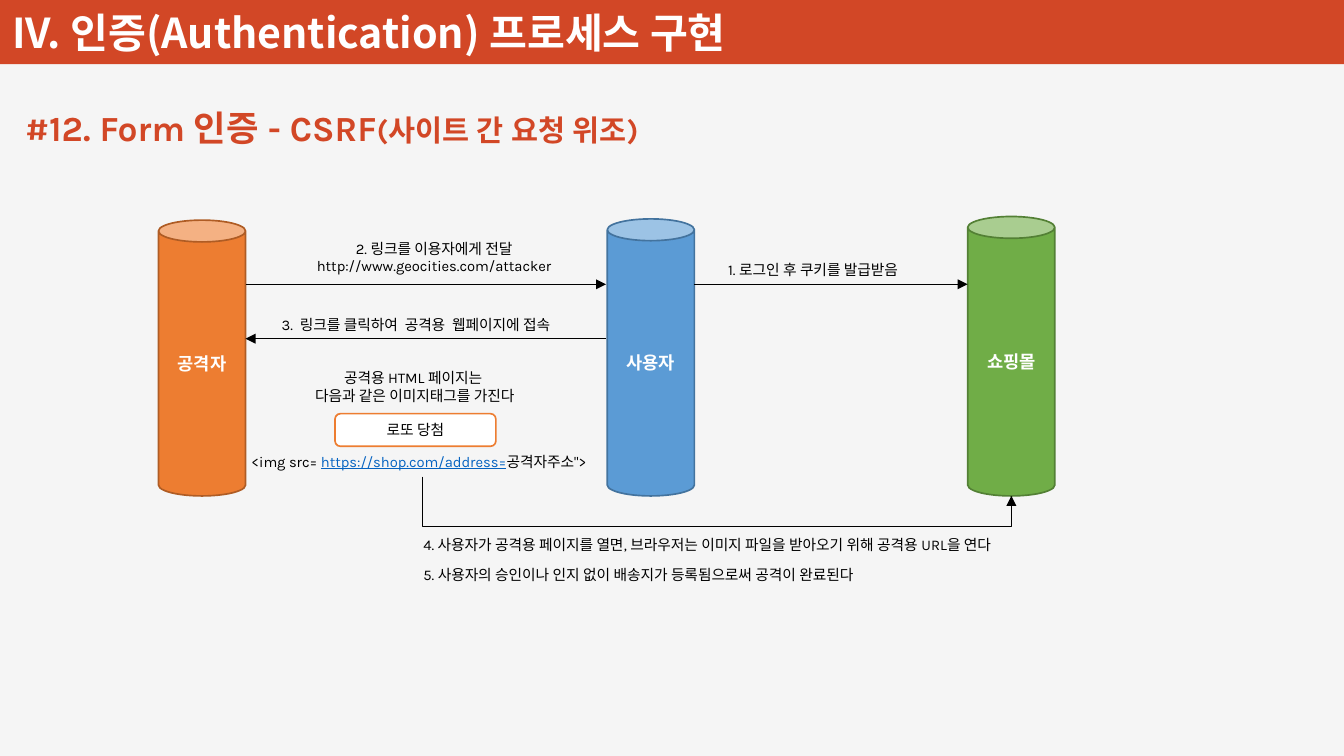
from pptx import Presentation
from pptx.dml.color import RGBColor
from pptx.enum.shapes import MSO_CONNECTOR, MSO_SHAPE
from pptx.enum.text import MSO_ANCHOR, MSO_AUTO_SIZE, PP_ALIGN
from pptx.oxml.ns import qn
from pptx.util import Inches, Pt
from lxml import etree

LEFT, CENTER = PP_ALIGN.LEFT, PP_ALIGN.CENTER
TOP, MIDDLE, BOTTOM = MSO_ANCHOR.TOP, MSO_ANCHOR.MIDDLE, MSO_ANCHOR.BOTTOM
CAN, ROUNDED = MSO_SHAPE.CAN, MSO_SHAPE.ROUNDED_RECTANGLE
STRAIGHT, ELBOW = MSO_CONNECTOR.STRAIGHT, MSO_CONNECTOR.ELBOW
NO_FIT = MSO_AUTO_SIZE.NONE

PAPER = RGBColor(0xF5, 0xF5, 0xF5)
RED = RGBColor(0xD2, 0x47, 0x26)
WHITE = RGBColor(0xFF, 0xFF, 0xFF)
BLACK = RGBColor(0, 0, 0)
ORANGE = RGBColor(0xED, 0x7D, 0x31)
DARK_ORANGE = RGBColor(0xAF, 0x5C, 0x24)
BLUE = RGBColor(0x5B, 0x9B, 0xD5)
DARK_BLUE = RGBColor(0x43, 0x73, 0x9E)
GREEN = RGBColor(0x70, 0xAD, 0x47)
DARK_GREEN = RGBColor(0x53, 0x80, 0x35)
LINK = RGBColor(0x05, 0x63, 0xC1)

BODY_FONT, TITLE_FONT = "Karla", "Noto Sans CJK KR"
NOTE_SIZE = 8.8


class Board:
    """Places elements on a grid of 100 columns by 100 rows."""

    def __init__(self, prs):
        self.col = prs.slide_width / 100
        self.row = prs.slide_height / 100
        self.slide = prs.slides.add_slide(prs.slide_layouts[1])
        self.shapes = self.slide.shapes
        self.slide.background.fill.solid()
        self.slide.background.fill.fore_color.rgb = PAPER

    def x(self, columns):
        return round(columns * self.col)

    def y(self, rows):
        return round(rows * self.row)

    def box(self, left, top, width, height):
        return self.x(left), self.y(top), self.x(width), self.y(height)

    def style(self, run, size, color, bold=False, name=BODY_FONT):
        run.font.size, run.font.bold, run.font.name = Pt(size), bold, name
        run.font.color.rgb = color
        east_asian = etree.SubElement(run.font._element, qn("a:ea"))
        east_asian.set("typeface", name)

    def set_lines(self, frame, lines, size, color, align=LEFT, anchor=TOP, wrap=True, **font):
        frame.text = "\n".join(lines)
        frame.auto_size, frame.word_wrap = NO_FIT, wrap
        frame.vertical_anchor = anchor
        for paragraph in frame.paragraphs:
            paragraph.alignment = align
            paragraph.space_before = Pt(0)
            for run in paragraph.runs:
                self.style(run, size, color, **font)
        return frame.paragraphs

    def title(self, text, height):
        bar = self.shapes.title
        bar.left, bar.top, bar.width, bar.height = self.box(0, 0, 100, height)
        bar.fill.solid()
        bar.fill.fore_color.rgb = RED
        frame = bar.text_frame
        frame.margin_left, frame.margin_top = Inches(0.1), 0
        frame.margin_bottom = Inches(0.06)
        self.set_lines(frame, [text], 24.5, WHITE, anchor=BOTTOM, bold=True, name=TITLE_FONT)

    def steps(self, area, lines, gap):
        body = self.slide.placeholders[1]
        body.left, body.top, body.width, body.height = self.box(*area)
        paragraphs = self.set_lines(body.text_frame, lines, NOTE_SIZE, BLACK)
        for paragraph in paragraphs:
            properties = paragraph._p.get_or_add_pPr()
            properties.set("marL", "0")
            properties.set("indent", "0")
            etree.SubElement(properties, qn("a:buNone"))
        for paragraph in paragraphs[1:]:
            paragraph.space_before = Pt(gap)

    def label(self, area, lines, size=NOTE_SIZE, color=BLACK, **layout):
        frame = self.shapes.add_textbox(*self.box(*area)).text_frame
        return self.set_lines(frame, lines, size, color, **layout)

    def shape(self, kind, area, text, fill, line, size, color, bold=False):
        shape = self.shapes.add_shape(kind, *self.box(*area))
        shape.shadow.inherit = False
        shape.fill.solid()
        shape.fill.fore_color.rgb = fill
        shape.line.color.rgb, shape.line.width = line, Pt(1)
        self.set_lines(shape.text_frame, [text], size, color, CENTER, MIDDLE, bold=bold)

    def connector(self, kind, *ends):
        line = self.shapes.add_connector(kind, *ends)
        line.line.color.rgb, line.line.width = BLACK, Pt(0.5)
        etree.SubElement(line.line._get_or_add_ln(), qn("a:tailEnd"), type="triangle")
        etree.SubElement(line._element.spPr, qn("a:effectLst"))
        return line

    def arrow(self, start, end, row):
        self.connector(STRAIGHT, self.x(start), self.y(row), self.x(end), self.y(row))

    def detour(self, start, end, low_row):
        """Runs down to low_row, across, and up to the end."""
        x1, y1, x2, y2 = self.x(start[0]), self.y(start[1]), self.x(end[0]), self.y(end[1])
        middle_x, middle_y = (x1 + x2) // 2, (y1 + y2) // 2
        half_run, half_rise = (x2 - x1) // 2, (y2 - y1) // 2
        # An elbow starts sideways, so it is laid out upright and turned by 270 degrees
        line = self.connector(ELBOW, middle_x + half_rise, middle_y - half_run,
                              middle_x - half_rise, middle_y + half_run)
        properties = line._element.spPr
        properties.find(qn("a:xfrm")).set("rot", str(270 * 60000))
        bend = round((self.y(low_row) - y1) / (y2 - y1) * 100000)
        guides = properties.find(qn("a:prstGeom")).find(qn("a:avLst"))
        etree.SubElement(guides, qn("a:gd"), name="adj1", fmla=f"val {bend}")


def main():
    prs = Presentation()
    prs.slide_width, prs.slide_height = Inches(11.11), Inches(6.25)
    board = Board(prs)

    # Title bar and heading
    board.title("IV. 인증(Authentication) 프로세스 구현", 8.5)
    heading = board.label((0.99, 13.28, 50.41, 7.2), ["#12. Form 인증 - CSRF"],
                          21, RED, wrap=False, bold=True)[0]
    meaning = heading.add_run()
    meaning.text = "(사이트 간 요청 위조)"
    board.style(meaning, 17.5, RED, bold=True)

    # The three parties, standing on one base row
    base = 65.6
    for party, left, top, fill, line in (
        ("사용자", 45.18, 28.96, BLUE, DARK_BLUE),
        ("공격자", 11.79, 29.12, ORANGE, DARK_ORANGE),
        ("쇼핑몰", 72, 28.64, GREEN, DARK_GREEN),
    ):
        board.shape(CAN, (left, top, 6.48, base - top), party, fill, line, 10.5, WHITE, True)

    # Messages between the parties
    attacker_side, user_left, user_right, shop_side = 18.27, 45.09, 51.66, 72
    board.arrow(user_right, shop_side, 37.6)
    board.arrow(attacker_side, user_left, 37.6)
    board.arrow(user_left, attacker_side, 44.8)
    board.label((53.29, 33.76, 17.46, 4), ["1. 로그인 후 쿠키를 발급받음"])
    board.label((22.23, 30.88, 20.16, 6.4),
                ["2. 링크를 이용자에게 전달", "http://www.geocities.com/attacker"], align=CENTER)
    board.label((20.07, 40.96, 24.48, 4), ["3.  링크를 클릭하여  공격용  웹페이지에 접속"])

    # The attack page and its image tag
    board.label((21.78, 48, 18.18, 6.4),
                ["공격용 HTML 페이지는 ", "다음과 같은 이미지태그를 가진다"],
                align=CENTER, wrap=False)
    board.shape(ROUNDED, (24.93, 54.72, 11.97, 4.32), "로또 당첨", WHITE, ORANGE,
                NOTE_SIZE, BLACK)
    image_tag = board.label((17.82, 59.04, 27.27, 4), ["<img src= "])[0]
    for part, color, underlined in (("https://shop.com/address=", LINK, True),
                                    ("공격자주소\">", BLACK, False)):
        run = image_tag.add_run()
        run.text = part
        board.style(run, NOTE_SIZE, color)
        run.font.underline = underlined

    # Forged request to the shop
    board.detour((31.41, 63.04), (75.25, base), 69.6)
    board.steps((30.6, 70.08, 52.48, 7.84), [
        "4. 사용자가 공격용 페이지를 열면, 브라우저는 이미지 파일을 받아오기 위해 공격용 URL을 연다",
        "5. 사용자의 승인이나 인지 없이 배송지가 등록됨으로써 공격이 완료된다",
    ], 7)

    prs.save("out.pptx")


if __name__ == "__main__":
    main()
